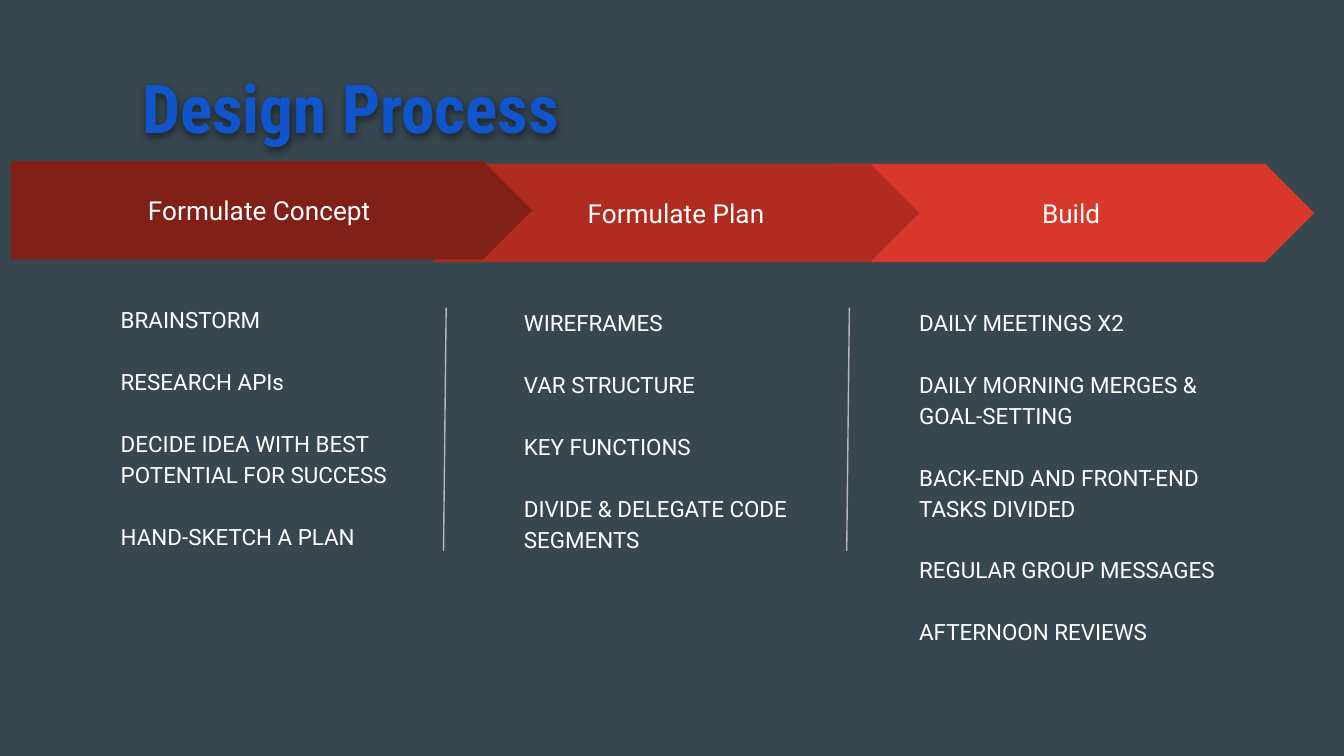
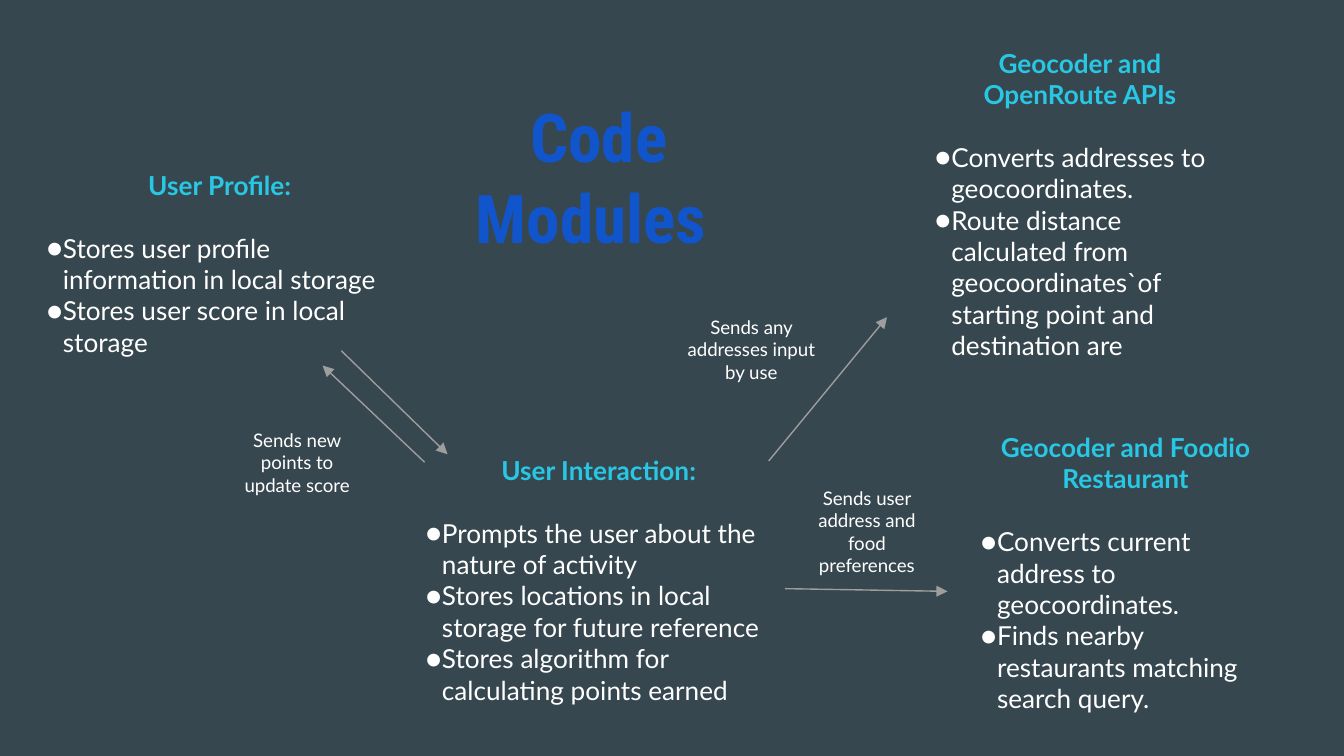
from lxml.etree import SubElement
from pptx import Presentation
from pptx.dml.color import RGBColor
from pptx.enum.shapes import MSO_CONNECTOR, MSO_SHAPE
from pptx.enum.text import MSO_ANCHOR, PP_ALIGN
from pptx.oxml.ns import qn
from pptx.util import Inches, Pt

COLORS = {
    "background": "37474F",
    "title": "1155CC",
    "heading": "28C8E5",
    "text": "FFFFFF",
    "concept": "802017",
    "plan": "B02C20",
    "build": "D83829",
    "divider": "B7B7B7",
    "arrow": "9E9E9E",
    "shadow": "000000",
}

STEP_HEIGHT = 0.73
LIST_DROP = 0.95
LIST_WIDTH = 2.45

STEPS = [
    ("Build", MSO_SHAPE.CHEVRON, "build", (6.16, 1.22, 3.62), 0.58, 2.86,
     ["DAILY MEETINGS X2", "DAILY MORNING MERGES & GOAL-SETTING",
      "BACK-END AND FRONT-END TASKS DIVIDED", "REGULAR GROUP MESSAGES",
      "AFTERNOON REVIEWS"]),
    ("Formulate Plan", MSO_SHAPE.CHEVRON, "plan", (3.22, 1.22, 3.62), 0.58, 2.86,
     ["WIREFRAMES", "VAR STRUCTURE", "KEY FUNCTIONS",
      "DIVIDE & DELEGATE CODE SEGMENTS"]),
    ("Formulate Concept", MSO_SHAPE.PENTAGON, "concept", (0.08, 1.2, 3.88), 0.72, 2.11,
     ["BRAINSTORM", "RESEARCH APIs",
      "DECIDE IDEA WITH BEST POTENTIAL FOR SUCCESS", "HAND-SKETCH A PLAN"]),
]

MODULES = [
    ("User Profile:", (0.25, 1.16, 2.77, 1.33),
     ["Stores user profile information in local storage",
      "Stores user score in local storage"]),
    ("User Interaction:", (3.07, 3.28, 2.77, 2.01),
     ["Prompts the user about the nature of activity",
      "Stores locations in local storage for future reference",
      "Stores algorithm for calculating points earned"]),
    ("Geocoder and OpenRoute APIs", (6.86, 0.25, 2.35, 2.69),
     ["Converts addresses to geocoordinates.",
      "Route distance calculated from geocoordinates`of starting point and destination are"]),
    ("Geocoder and Foodio Restaurant", (7.2, 3.11, 2.35, 2.35),
     ["Converts current address to geocoordinates.",
      "Finds nearby restaurants matching search query."]),
]

FLOW_LABELS = [
    ("Sends new points to update score", (1.62, 3.09, 1.18, 0.72)),
    ("Sends any addresses input by use", (5, 2.25, 1.18, 0.69)),
    ("Sends user address and food preferences", (5.86, 3.52, 1.18, 0.77)),
]

FLOW_ARROWS = [
    ((2.54, 2.61), (3.33, 3.38)),
    ((3.16, 3.44), (2.4, 2.72)),
    ((5.72, 3.43), (6.6, 2.36)),
    ((5.84, 4.38), (7.05, 4.4)),
]


def color(name):
    return RGBColor.from_string(COLORS[name])


def set_insets(text_frame):
    text_frame.word_wrap = True
    text_frame.margin_left = text_frame.margin_right = Inches(0.1)
    text_frame.margin_top = text_frame.margin_bottom = Inches(0.1)


def style_paragraph(paragraph, font_name, size, color_name, bold=False, align=PP_ALIGN.LEFT):
    paragraph.alignment = align
    for run in paragraph.runs:
        run.font.name = font_name
        run.font.size = Pt(size)
        run.font.bold = bold
        run.font.color.rgb = color(color_name)


def add_text(slide, box, lines):
    shape = slide.shapes.add_textbox(*map(Inches, box))
    set_insets(shape.text_frame)
    shape.text_frame.text = "\n".join(lines)
    return shape


def add_title(slide, text, box, align=PP_ALIGN.LEFT):
    shape = add_text(slide, box, [text])
    paragraph = shape.text_frame.paragraphs[0]
    style_paragraph(paragraph, "Roboto Condensed", 36, "title", True, align)
    return shape


def add_text_shadow(shape):
    effects = SubElement(shape.element.spPr, qn("a:effectLst"))
    shadow = SubElement(effects, qn("a:outerShdw"), blurRad=str(Pt(4)),
                        dist=str(Pt(1.5)), dir="5400000", algn="bl", rotWithShape="0")
    shade = SubElement(shadow, qn("a:srgbClr"), val=COLORS["shadow"])
    SubElement(shade, qn("a:alpha"), val="50000")


def add_line(slide, start, end, color_name, arrow=False):
    connector = slide.shapes.add_connector(
        MSO_CONNECTOR.STRAIGHT, *map(Inches, (*start, *end)))
    connector.line.color.rgb = color(color_name)
    connector.line.width = Pt(0.75)
    if arrow:
        SubElement(connector.line._get_or_add_ln(), qn("a:tailEnd"), type="triangle")
    SubElement(connector.element.spPr, qn("a:effectLst"))


def add_step(slide, name, preset, fill, band, list_offset, list_height, tasks):
    left, top, width = band
    shape = slide.shapes.add_shape(
        preset, *map(Inches, (left, top, width, STEP_HEIGHT)))
    shape.shadow.inherit = False
    shape.fill.solid()
    shape.fill.fore_color.rgb = color(fill)
    shape.line.fill.background()
    set_insets(shape.text_frame)
    shape.text_frame.vertical_anchor = MSO_ANCHOR.MIDDLE
    shape.text_frame.text = name
    style_paragraph(shape.text_frame.paragraphs[0], "Roboto", 14, "text",
                    align=PP_ALIGN.CENTER)

    task_box = (left + list_offset, top + LIST_DROP, LIST_WIDTH, list_height)
    task_list = add_text(slide, task_box, tasks)
    for index, paragraph in enumerate(task_list.text_frame.paragraphs):
        style_paragraph(paragraph, "Roboto", 12, "text")
        paragraph.line_spacing = 1.15
        if index:
            paragraph.space_before = Pt(16.6)


def add_bullet(paragraph):
    properties = paragraph._p.get_or_add_pPr()
    properties.set("marL", str(Inches(0.12)))
    properties.set("indent", str(Inches(-0.16)))
    bullet_color = SubElement(properties, qn("a:buClr"))
    SubElement(bullet_color, qn("a:srgbClr"), val=COLORS["text"])
    SubElement(properties, qn("a:buFont"), typeface="Lato")
    SubElement(properties, qn("a:buChar"), char="●")


def add_module(slide, heading, box, duties):
    shape = add_text(slide, box, [heading, *duties])
    heading_paragraph, *duty_paragraphs = shape.text_frame.paragraphs
    style_paragraph(heading_paragraph, "Lato", 14, "heading", True, PP_ALIGN.CENTER)
    for paragraph in duty_paragraphs:
        add_bullet(paragraph)
        style_paragraph(paragraph, "Lato", 14, "text")
    duty_paragraphs[0].space_before = Pt(16.8)


def add_flow_label(slide, text, box):
    shape = add_text(slide, box, [text])
    style_paragraph(shape.text_frame.paragraphs[0], "Lato", 10, "text",
                    align=PP_ALIGN.CENTER)


def add_blank_slide(presentation):
    slide = presentation.slides.add_slide(presentation.slide_layouts[6])
    slide.background.fill.solid()
    slide.background.fill.fore_color.rgb = color("background")
    return slide


def build_process_slide(presentation):
    slide = add_blank_slide(presentation)
    title = add_title(slide, "Design Process", (0.96, 0.3, 8.02, 1.25))
    title.text_frame.paragraphs[0].line_spacing = 1.15
    add_text_shadow(title)
    for step in STEPS:
        add_step(slide, *step)
    for left in (3.3, 6.3):
        add_line(slide, (left + 0.02, 2.29), (left, 4.1), "divider")


def build_modules_slide(presentation):
    slide = add_blank_slide(presentation)
    add_title(slide, "Code Modules ", (2.96, 0.61, 2.99, 0.73), PP_ALIGN.CENTER)
    for module in MODULES:
        add_module(slide, *module)
    for start, end in FLOW_ARROWS:
        add_line(slide, start, end, "arrow", arrow=True)
    for label in FLOW_LABELS:
        add_flow_label(slide, *label)


def main():
    presentation = Presentation()
    presentation.slide_width = Inches(10)
    presentation.slide_height = presentation.slide_width * 9 // 16
    build_process_slide(presentation)
    build_modules_slide(presentation)
    presentation.save("out.pptx")


if __name__ == "__main__":
    main()
